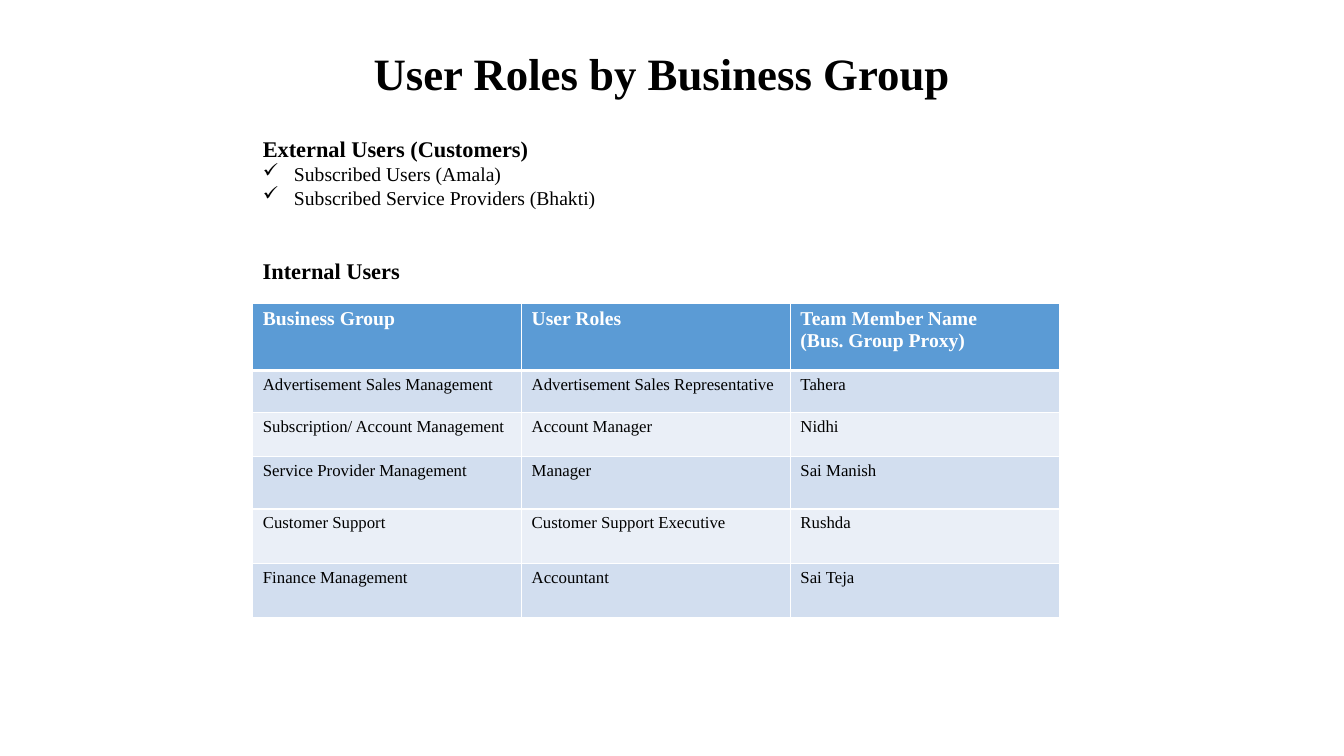
from lxml.etree import SubElement
from pptx import Presentation
from pptx.dml.color import RGBColor
from pptx.enum.text import MSO_ANCHOR as Anchor, MSO_AUTO_SIZE as AutoSize, PP_ALIGN as Align
from pptx.oxml.ns import qn
from pptx.util import Inches, Pt

UNIT = Inches(1 / 12)
TABLE_LEFT = 30.1


def grid(*cells):
    return [round(cell * UNIT) for cell in cells]


def color(value):
    return RGBColor.from_string(value)


def write(para, text, font="Times New Roman", size=12, bold=False, ink="000000", align=Align.LEFT):
    para.alignment = align
    span = para.add_run()
    span.text = text
    span.font.name = font
    span.font.size = Pt(size)
    span.font.bold = bold
    span.font.color.rgb = color(ink)


class Slide:
    heading = dict(size=16, bold=True)
    header = dict(size=14, bold=True, ink="FFFFFF")
    header_fill = "5B9BD5"
    band_fills = ("D2DEEF", "EAEFF7")
    rule = "FFFFFF"

    def __init__(self, deck):
        self.page = deck.slides.add_slide(deck.slide_layouts[5])

    def title(self, text, *place):
        box = self.page.shapes.title
        box.left, box.top, box.width, box.height = grid(*place)
        frame = box.text_frame
        frame.auto_size = AutoSize.NONE
        frame.vertical_anchor = Anchor.TOP
        write(frame.paragraphs[0], text, size=32, bold=True, align=Align.CENTER)

    def section(self, heading, items, *place):
        frame = self.page.shapes.add_textbox(*grid(*place)).text_frame
        frame.word_wrap = True
        write(frame.paragraphs[0], heading, **self.heading)
        for item in items:
            para = frame.add_paragraph()
            write(para, item, size=14)
            self.check(para)

    def check(self, para):
        props = para._p.get_or_add_pPr()
        indent = Inches(0.31)
        props.set("marL", str(indent))
        props.set("indent", str(-indent))
        SubElement(props, qn("a:buChar"), char="✓")

    def table(self, rows, heights, column, left, top):
        width = column * len(rows[0])
        table = self.page.shapes.add_table(
            len(rows), len(rows[0]), *grid(left, top, width, sum(heights))).table
        for line, height in zip(table.rows, heights):
            line.height = grid(height)[0]
        for index, texts in enumerate(rows):
            fill = self.band_fills[(index - 1) % 2] if index else self.header_fill
            style = {} if index else self.header
            for place, text in enumerate(texts):
                self.cell(table.cell(index, place), text, fill, style,
                          top=3 if index == 1 else 1, bottom=1 if index else 3)

    def cell(self, cell, text, fill, style, top, bottom):
        props = cell._tc.get_or_add_tcPr()
        for side, weight in zip("LRTB", (1, 1, top, bottom)):
            line = SubElement(props, qn(f"a:ln{side}"), w=str(Pt(weight)))
            paint = SubElement(line, qn("a:solidFill"))
            SubElement(paint, qn("a:srgbClr"), val=self.rule)
        cell.fill.solid()
        cell.fill.fore_color.rgb = color(fill)
        frame = cell.text_frame
        for number, line in enumerate(text.split("\n")):
            para = frame.add_paragraph() if number else frame.paragraphs[0]
            write(para, line, **style)


deck = Presentation()
deck.slide_width, deck.slide_height = grid(160, 90)
slide = Slide(deck)
slide.title("User Roles by Business Group", 18.1, 4.9, 121.4, 7.7)

roles = [
    ("Business Group", "User Roles", "Team Member Name\n(Bus. Group Proxy)"),
    ("Advertisement Sales Management", "Advertisement Sales Representative", "Tahera"),
    ("Subscription/ Account Management", "Account Manager", "Nidhi"),
    ("Service Provider Management", "Manager", "Sai Manish"),
    ("Customer Support", "Customer Support Executive", "Rushda"),
    ("Finance Management", "Accountant", "Sai Teja"),
]
slide.table(roles, (8, 5, 5.3, 6.2, 6.5, 6.5), 32, TABLE_LEFT, 36.1)

customers = ["Subscribed Users (Amala)", "Subscribed Service Providers (Bhakti)"]
slide.section("External Users (Customers)", customers, TABLE_LEFT, 15.5, 42.4, 10.1)
slide.section("Internal Users", [], TABLE_LEFT, 30, 19, 4.4)

deck.save("out.pptx")
